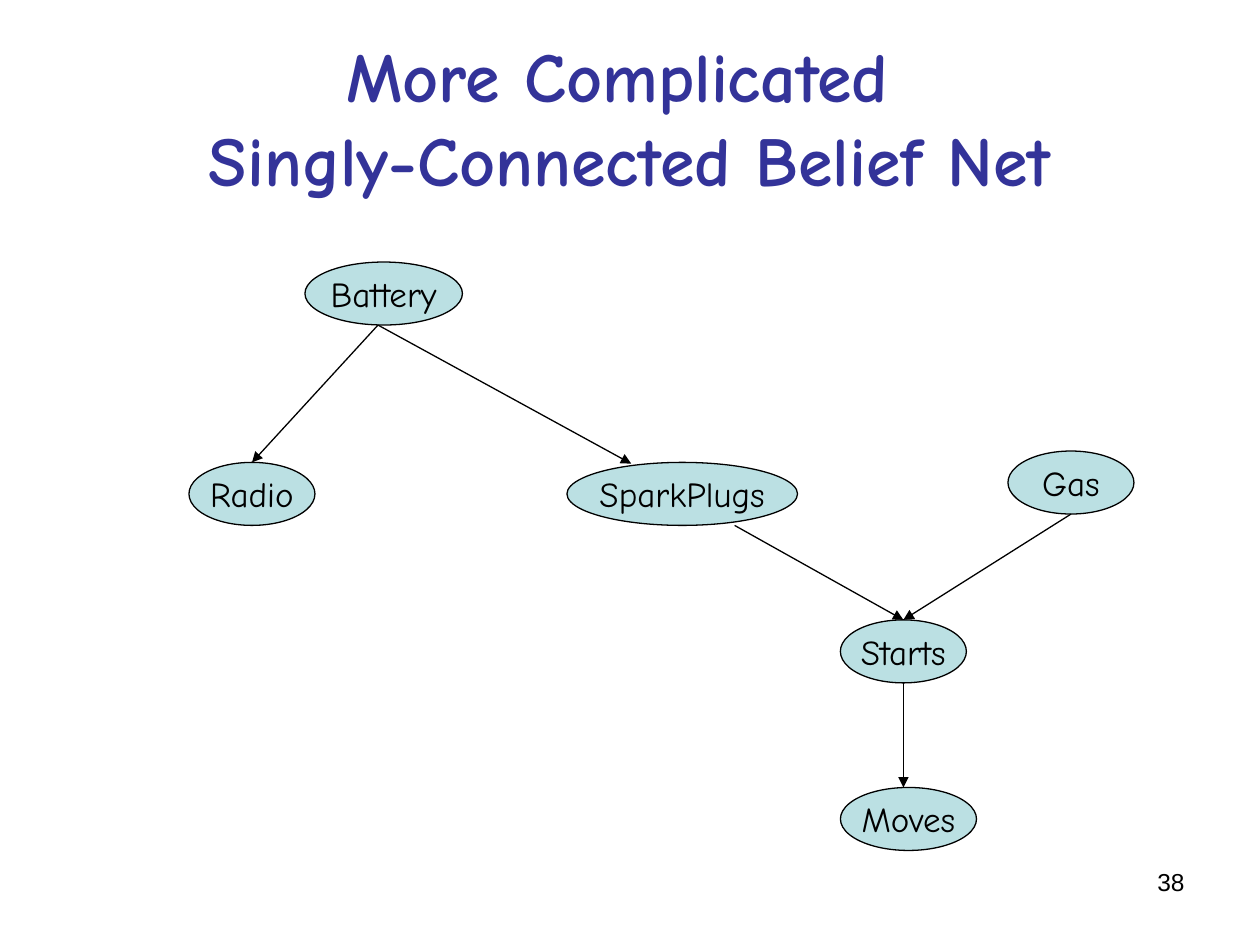
"""Build a slide showing a singly-connected belief net for starting a car."""
import pptx
import pptx.dml.color
import pptx.enum.shapes
import pptx.enum.text
import pptx.oxml.ns
import pptx.util
from lxml import etree

Inches = pptx.util.Inches
Pt = pptx.util.Pt
RGBColor = pptx.dml.color.RGBColor
Align = pptx.enum.text.PP_ALIGN
Anchor = pptx.enum.text.MSO_ANCHOR

INDIGO = RGBColor(0x33, 0x33, 0x99)
PALE_TEAL = RGBColor(0xBB, 0xE0, 0xE3)
BLACK = RGBColor(0, 0, 0)
FONT = "Comic Neue"
NODE_HEIGHT = 0.5
LINE_WIDTH = 0.75

TITLE_LINES = ["More Complicated ", "Singly-Connected Belief Net"]
PAGE_NUMBER = "38"
NODES = {
    "Radio": (1.5, 3.67, 1),
    "Battery": (2.42, 2.08, 1.25),
    "SparkPlugs": (4.5, 3.67, 1.83),
    "Starts": (6.67, 4.92, 1),
    "Gas": (8, 3.58, 1),
    "Moves": (6.67, 6.25, 1.08),
}
EDGES = [
    ((3, 2.58), (2, 3.67)),
    ((3, 2.58), (5.01, 3.68)),
    ((5.83, 4.17), (7.17, 4.92)),
    ((8.5, 4.08), (7.17, 4.92)),
    ((7.17, 5.42), (7.17, 6.25)),
]


def write(shape, lines, size, color, font=FONT, bold=False, align=Align.CENTER,
          anchor=Anchor.MIDDLE, wrap=True):
    """Put lines of one style into a shape as a single paragraph."""
    frame = shape.text_frame
    frame.word_wrap = wrap
    frame.vertical_anchor = anchor
    paragraph = frame.paragraphs[0]
    paragraph.alignment = align
    for index, line in enumerate(lines):
        if index:
            paragraph.add_line_break()
        run = paragraph.add_run()
        run.text = line
        run.font.name = font
        run.font.size = Pt(size)
        run.font.bold = bold
        run.font.color.rgb = color


def add_node(slide, name, left, top, width):
    """Draw a labelled ellipse."""
    node = slide.shapes.add_shape(
        pptx.enum.shapes.MSO_SHAPE.OVAL,
        Inches(left), Inches(top), Inches(width), Inches(NODE_HEIGHT))
    node.shadow.inherit = False
    node.fill.solid()
    node.fill.fore_color.rgb = PALE_TEAL
    node.line.color.rgb = BLACK
    node.line.width = Pt(LINE_WIDTH)
    write(node, [name], 20, BLACK, wrap=False)


def add_arrow(slide, start, end):
    """Draw a straight arrow from start to end."""
    arrow = slide.shapes.add_connector(
        pptx.enum.shapes.MSO_CONNECTOR.STRAIGHT,
        *(Inches(value) for value in start + end))
    arrow.line.color.rgb = BLACK
    arrow.line.width = Pt(LINE_WIDTH)
    qn = pptx.oxml.ns.qn
    etree.SubElement(arrow.line._get_or_add_ln(), qn("a:tailEnd"), type="triangle")
    etree.SubElement(arrow._element.spPr, qn("a:effectLst"))


def main():
    """Assemble and save the slide."""
    presentation = pptx.Presentation()
    presentation.slide_width = Inches(10)
    presentation.slide_height = Inches(7.5)
    slide = presentation.slides.add_slide(presentation.slide_layouts[6])

    title = slide.shapes.add_textbox(Inches(0.5), Inches(0.3), Inches(9), Inches(1.25))
    write(title, TITLE_LINES, 40, INDIGO, bold=True)
    for name, place in NODES.items():
        add_node(slide, name, *place)
    for start, end in EDGES:
        add_arrow(slide, start, end)
    number = slide.shapes.add_textbox(
        Inches(7.17), Inches(6.83), Inches(2.33), Inches(0.52))
    write(number, [PAGE_NUMBER], 14, BLACK, font="Arial", align=Align.RIGHT,
          anchor=Anchor.TOP)
    presentation.save("out.pptx")


if __name__ == "__main__":
    main()
